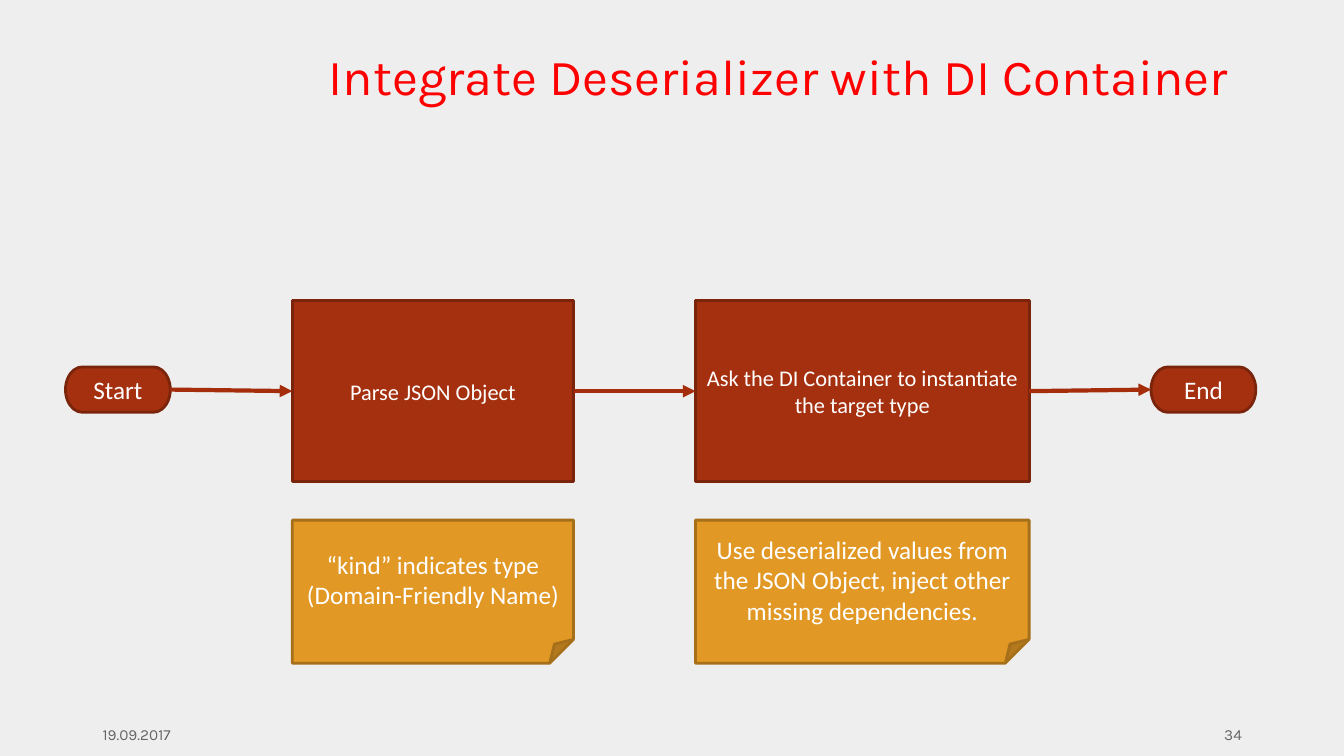
from pptx import Presentation
from pptx.dml.color import RGBColor
from pptx.enum.shapes import MSO_CONNECTOR, MSO_SHAPE
from pptx.enum.text import MSO_ANCHOR, PP_ALIGN
from pptx.oxml.ns import qn
from pptx.util import Pt
from lxml import etree


def color(hex_string):
    return RGBColor.from_string(hex_string)


def write(sp, text, font, size, hex_string, align):
    tf = sp.text_frame
    tf.word_wrap = True
    tf.text = text
    for p in tf.paragraphs:
        p.alignment = align
        p.font.name = font
        p.font.size = Pt(size)
        p.font.color.rgb = color(hex_string)


prs = Presentation()
prs.slide_width = Pt(960)
prs.slide_height = Pt(540)
s = prs.slides.add_slide(prs.slide_layouts[6])
s.background.fill.solid()
s.background.fill.fore_color.rgb = color("EEEEEE")

labels = [
    ("Integrate Deserializer with DI Container", 218.9, 28.8, 674.6, 82.8, 36, "FF0000", PP_ALIGN.CENTER),
    ("19.09.2017", 66.2, 514.1, 216, 15.1, 11, "656565", PP_ALIGN.LEFT),
    ("34", 678.2, 514.1, 216, 15.1, 11, "656565", PP_ALIGN.RIGHT),
]
for text, x, y, w, h, size, ink, align in labels:
    sp = s.shapes.add_textbox(Pt(x), Pt(y), Pt(w), Pt(h))
    write(sp, text, "Karla", size, ink, align)

TERMINATOR = (MSO_SHAPE.FLOWCHART_TERMINATOR, 262.1, 32.4, 18, "A5300F", "7A240B")
PROCESS = (MSO_SHAPE.RECTANGLE, 214.6, 129.6, 16, "A5300F", "7A240B")
NOTE = (MSO_SHAPE.FOLDED_CORNER, 371.5, 102.2, 18, "E19825", "A6701B")
GAP = 87.1

steps = [
    (74.9, TERMINATOR, "Start", None),
    (200.9, PROCESS, "Parse JSON Object", "“kind” indicates type\n(Domain-Friendly Name)"),
    (238.3, PROCESS, "Ask the DI Container to instantiate the target type",
     "Use deserialized values from the JSON Object, inject other missing dependencies."),
    (74.9, TERMINATOR, "End", None),
]
x = 46.8
flow = []
for w, kind, text, note in steps:
    boxes = [(kind, text)]
    if note:
        boxes.append((NOTE, note))
    for (shape, y, h, size, fill, line), words in boxes:
        sp = s.shapes.add_shape(shape, Pt(x), Pt(y), Pt(w), Pt(h))
        sp.shadow.inherit = False
        sp.fill.solid()
        sp.fill.fore_color.rgb = color(fill)
        sp.line.color.rgb = color(line)
        sp.line.width = Pt(2)
        sp.text_frame.vertical_anchor = MSO_ANCHOR.MIDDLE
        write(sp, words, "Calibri", size, "FFFFFF", PP_ALIGN.CENTER)
        if shape != MSO_SHAPE.FOLDED_CORNER:
            flow.append(sp)
    x += w + GAP

for start, end in zip(flow, flow[1:]):
    arrow = s.shapes.add_connector(MSO_CONNECTOR.STRAIGHT, 0, 0, 0, 0)
    arrow.begin_connect(start, 3)
    arrow.end_connect(end, 1)
    arrow.line.color.rgb = color("A52D0B")
    arrow.line.width = Pt(3)
    etree.SubElement(arrow.line._get_or_add_ln(), qn("a:tailEnd"), type="triangle")
    etree.SubElement(arrow._element.spPr, qn("a:effectLst"))

prs.save("out.pptx")
